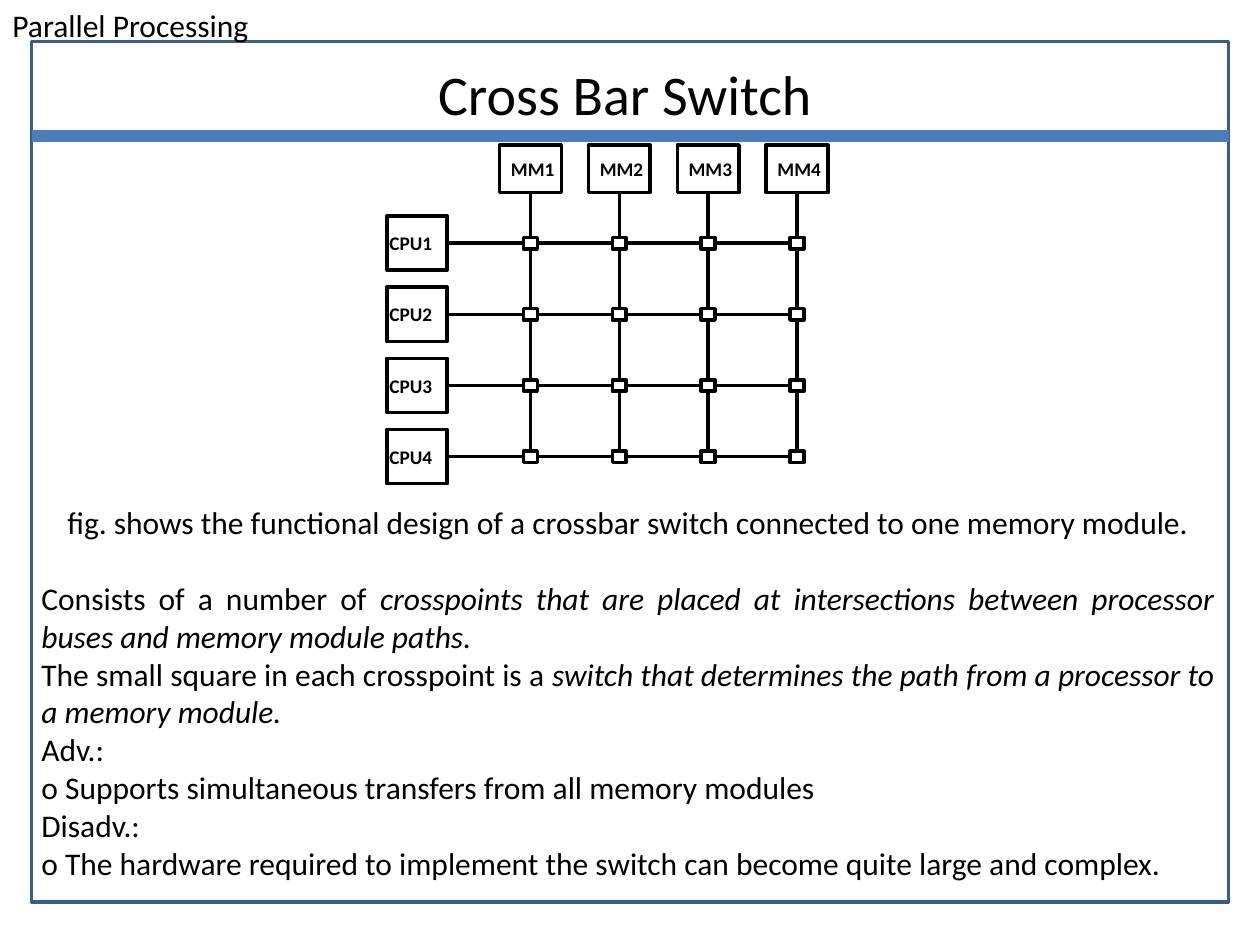
import pptx
import pptx.util
import pptx.dml.color
import pptx.enum.shapes
import pptx.enum.text
import pptx.oxml.ns
from dataclasses import dataclass
from lxml import etree

HEADER = "Parallel Processing"
TITLE = "Cross Bar Switch"
MEMORY_MODULES = ["MM1", "MM2", "MM3", "MM4"]
PROCESSORS = ["CPU1", "CPU2", "CPU3", "CPU4"]
CAPTION = "fig. shows the functional design of a crossbar switch connected to one memory module."
NOTES = [
    ("Consists of a number of ",
     "crosspoints that are placed at intersections between processor buses and memory module paths."),
    ("The small square in each crosspoint is a ",
     "switch that determines the path from a processor to a memory module."),
    ("Adv.:", ""),
    ("o Supports simultaneous transfers from all memory modules", ""),
    ("Disadv.:", ""),
    ("o The hardware required to implement the switch can become quite large and complex.", ""),
]


@dataclass(frozen=True)
class Theme:
    font: str = "Calibri"
    ink: str = "000000"
    paper: str = "FFFFFF"
    frame: str = "385D8A"
    rule: str = "4A7EBB"
    title_size: int = 32
    body_size: int = 18
    label_size: int = 11
    line_width: float = 2
    rule_width: float = 6.75


theme = Theme()
ALIGN = pptx.enum.text.PP_ALIGN
WIDTH, HEIGHT = 10, 7.5
MARGIN = WIDTH / 40
FRAME_TOP, FRAME_HEIGHT = 0.33, 6.83
RULE_Y = 1.08
FIRST_COLUMN, COLUMN_STEP = 4.21, 0.705
FIRST_ROW, ROW_STEP = 1.93, 0.565
MEMORY_Y, MEMORY_SIZE, MEMORY_INSET = 1.34, (0.49, 0.38), 0.09
PROCESSOR_X, PROCESSOR_SIZE, PROCESSOR_INSET = 3.31, (0.48, 0.43), 0.02
CROSSPOINT_SIZE = (0.11, 0.09)

columns = [FIRST_COLUMN + COLUMN_STEP * index for index in range(len(MEMORY_MODULES))]
rows = [FIRST_ROW + ROW_STEP * index for index in range(len(PROCESSORS))]

inches = pptx.util.Inches
presentation = pptx.Presentation()
presentation.slide_width, presentation.slide_height = inches(WIDTH), inches(HEIGHT)
slide = presentation.slides.add_slide(presentation.slide_layouts[6])


def color(value):
    return pptx.dml.color.RGBColor.from_string(value)


def format_paragraph(paragraph, size, align, bold=None):
    paragraph.alignment = align
    for run in paragraph.runs:
        run.font.name = theme.font
        run.font.size = pptx.util.Pt(size)
        run.font.color.rgb = color(theme.ink)
        run.font.bold = bold


def add_box(center_x, center_y, size, line=theme.ink, fill=None):
    width, height = size
    shape = slide.shapes.add_shape(
        pptx.enum.shapes.MSO_SHAPE.RECTANGLE,
        inches(center_x - width / 2), inches(center_y - height / 2), inches(width), inches(height))
    shape.shadow.inherit = False
    if fill:
        shape.fill.solid()
        shape.fill.fore_color.rgb = color(fill)
    else:
        shape.fill.background()
    shape.line.color.rgb = color(line)
    shape.line.width = pptx.util.Pt(theme.line_width)
    return shape


def add_labelled_box(label, center_x, center_y, size, inset):
    shape = add_box(center_x, center_y, size)
    frame = shape.text_frame
    frame.text = label
    frame.word_wrap = True
    frame.vertical_anchor = pptx.enum.text.MSO_ANCHOR.MIDDLE
    frame.margin_left = inches(inset)
    frame.margin_right = frame.margin_top = frame.margin_bottom = 0
    format_paragraph(frame.paragraphs[0], theme.label_size, ALIGN.LEFT, bold=True)
    return shape


def add_line(start, end, line=theme.ink, width=theme.line_width):
    connector = slide.shapes.add_connector(
        pptx.enum.shapes.MSO_CONNECTOR.STRAIGHT, *[inches(value) for value in (*start, *end)])
    connector.line.color.rgb = color(line)
    connector.line.width = pptx.util.Pt(width)
    etree.SubElement(connector._element.spPr, pptx.oxml.ns.qn("a:effectLst"))
    return connector


def add_text(text, left, top, width, height, size, align):
    frame = slide.shapes.add_textbox(
        inches(left), inches(top), inches(width), inches(height)).text_frame
    frame.word_wrap = True
    frame.text = text
    format_paragraph(frame.paragraphs[0], size, align)
    return frame


add_box(WIDTH / 2, FRAME_TOP + FRAME_HEIGHT / 2, (WIDTH - 2 * MARGIN, FRAME_HEIGHT), theme.frame)
add_text(HEADER, 0, 0, WIDTH, 0.4, theme.body_size, ALIGN.LEFT)
add_line((MARGIN, RULE_Y), (WIDTH - MARGIN, RULE_Y), theme.rule, theme.rule_width)
add_text(TITLE, 0.75, 0.42, 8.42, 0.64, theme.title_size, ALIGN.CENTER)

for label, x in zip(MEMORY_MODULES, columns):
    module = add_labelled_box(label, x, MEMORY_Y, MEMORY_SIZE, MEMORY_INSET)
    add_line((x, MEMORY_Y), (x, rows[-1])).begin_connect(module, 2)

for label, y in zip(PROCESSORS, rows):
    processor = add_labelled_box(label, PROCESSOR_X, y, PROCESSOR_SIZE, PROCESSOR_INSET)
    add_line((PROCESSOR_X, y), (columns[-1], y)).begin_connect(processor, 3)

for y in rows:
    for x in columns:
        add_box(x, y, CROSSPOINT_SIZE, fill=theme.paper)

body = add_text(CAPTION, 0.23, 3.94, 9.51, 3.1, theme.body_size, ALIGN.CENTER)
for index, (plain, emphasis) in enumerate(NOTES):
    paragraph = body.add_paragraph()
    paragraph.text = plain
    if emphasis:
        run = paragraph.add_run()
        run.text = emphasis
        run.font.italic = True
    format_paragraph(paragraph, theme.body_size, ALIGN.JUSTIFY)
    if index == 0:
        paragraph.space_before = pptx.util.Pt(22)

presentation.save("out.pptx")
